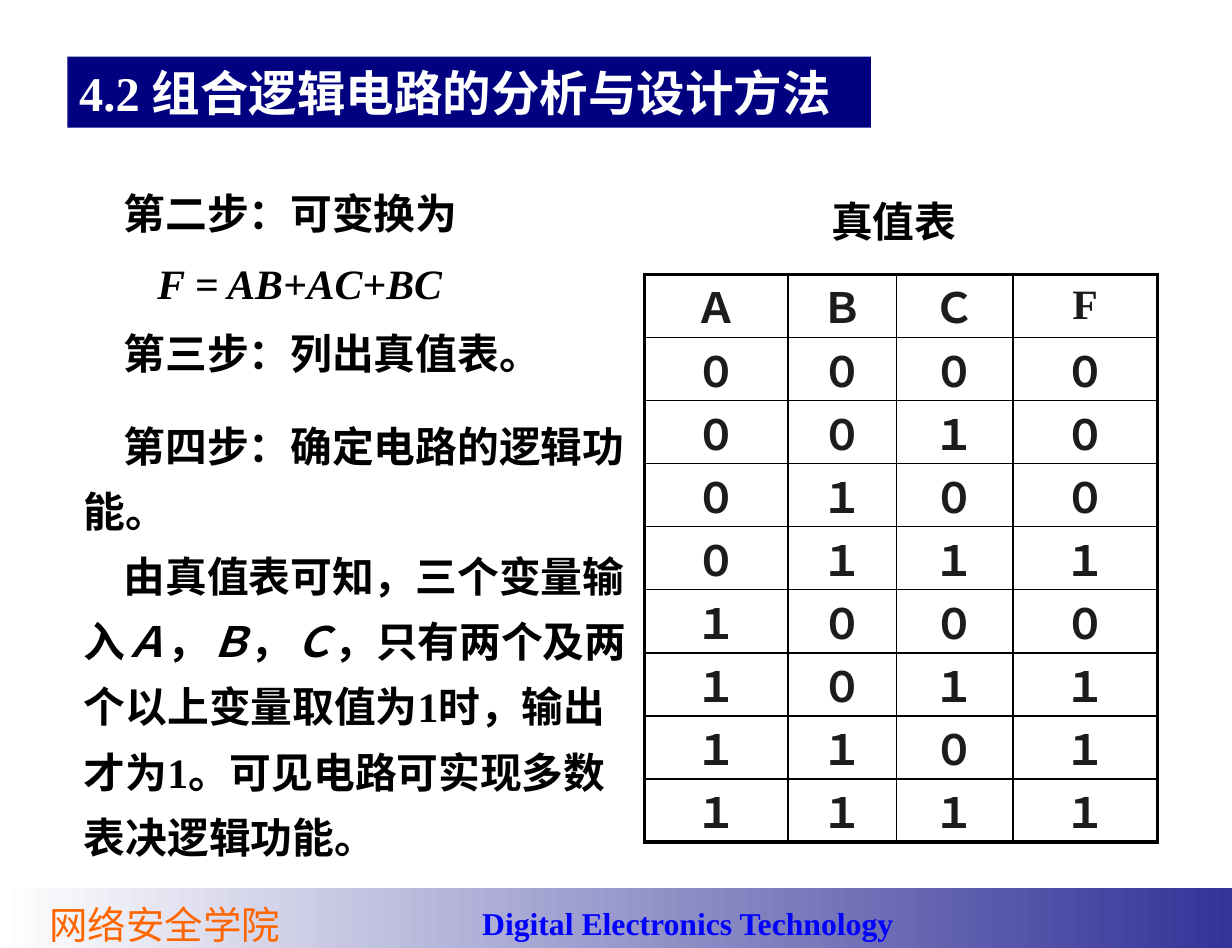
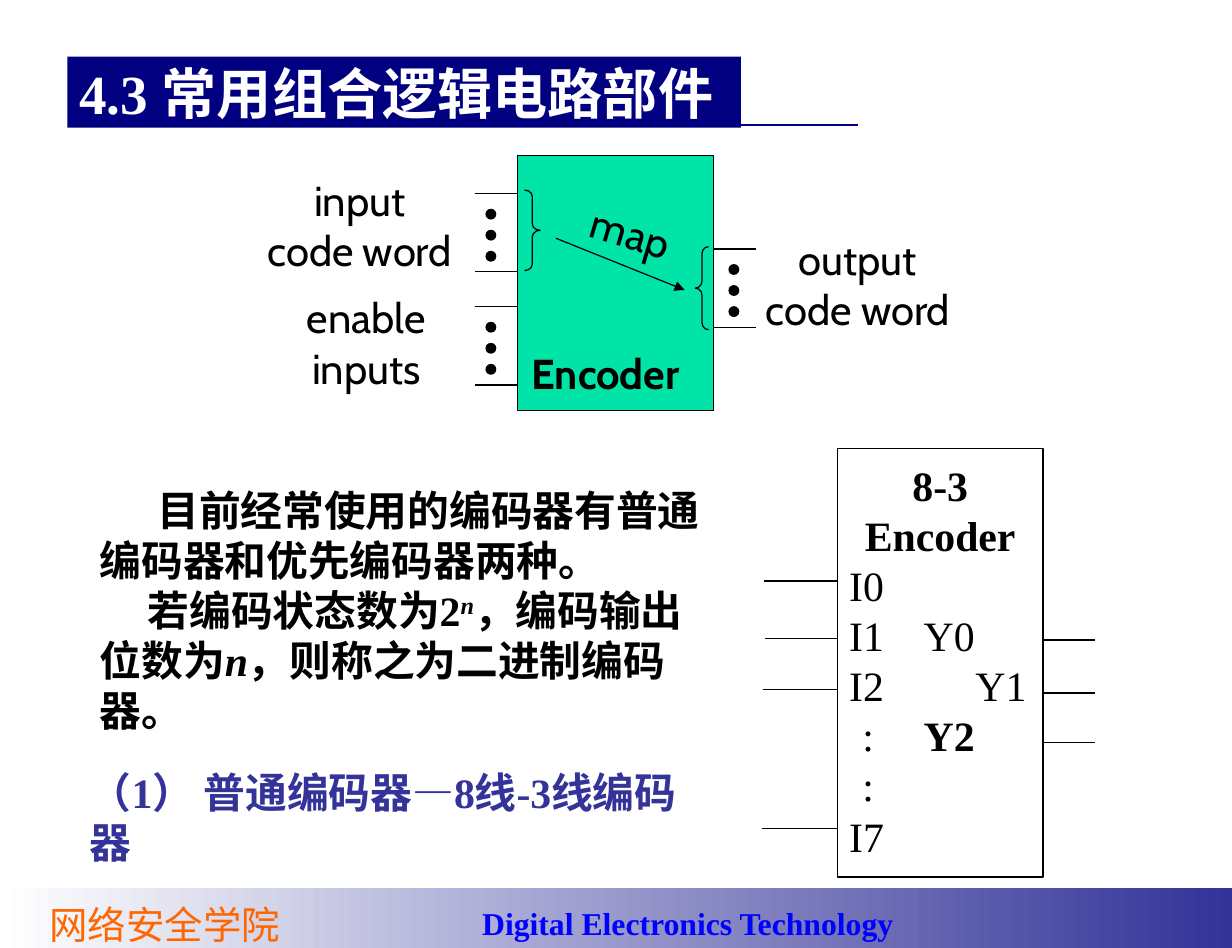
"""Build two digital-electronics slides: a truth table and an encoder overview."""
from dataclasses import dataclass

from lxml import etree
from pptx import Presentation
from pptx.dml import color as c
from pptx.enum import shapes as s, text as t
from pptx.oxml import ns
from pptx.util import Inches, Pt


@dataclass(frozen=True)
class Theme:
    black: str = "000000"
    white: str = "FFFFFF"
    navy: str = "000080"
    indigo: str = "333399"
    blue: str = "0000FF"
    orange: str = "FF6600"
    mint: str = "00E4A8"
    ink: str = "1C1C1C"
    serif: str = "Times New Roman"
    sans: str = "Cabin"
    cjk: str = "Noto Sans CJK SC"
    body: float = 25
    school: float = 23
    course: float = 19
    thin: float = 0.75
    grid: float = 1
    frame: float = 2.25


THEME = Theme()
BODY = {"name": THEME.serif, "size": THEME.body, "color": THEME.black, "bold": True}
LABEL = {**BODY, "name": THEME.sans, "bold": False}
CELL = {**BODY, "color": THEME.ink}
HEADING = {**BODY, "color": THEME.white}
SUBHEAD = {**BODY, "color": THEME.indigo}
SCHOOL = {"name": THEME.cjk, "size": THEME.school, "color": THEME.orange}
COURSE = {**BODY, "size": THEME.course, "color": THEME.blue}
ITALIC = {"italic": True}
PLAIN = {"bold": False}
CENTER = t.PP_ALIGN.CENTER
MIDDLE = t.MSO_ANCHOR.MIDDLE
INSETS = (0.1, 0.05, 0.1, 0.05)
SINGLE, LOOSE, WIDE = Pt(30), Pt(39), Pt(42)

STEPS = [
    {"runs": ["第二步：可变换为"], "indent": 0.33, "spacing": WIDE},
    {"runs": [("F = AB+AC+BC", ITALIC)], "indent": 0.61, "spacing": WIDE},
    {"runs": ["第三步：列出真值表。"], "indent": 0.33, "spacing": WIDE},
]
CONCLUSION = [
    {"runs": ["第四步：确定电路的逻辑功能。"], "indent": 0.33, "spacing": LOOSE},
    {"runs": ["由真值表可知，三个变量输入", ("Ａ", ITALIC), "，", ("Ｂ", ITALIC), "，",
              ("Ｃ", ITALIC), "，只有两个及两个以上变量取值为1时，输出才为1。"
              "可见电路可实现多数表决逻辑功能。"], "indent": 0.33, "spacing": LOOSE},
]
TRUTH_ROWS = ["ＡＢＣF", "００００", "００１０", "０１００", "０１１１",
              "１０００", "１０１１", "１１０１", "１１１１"]
COLUMN_WIDTHS = [1.19, 0.9, 0.97, 1.2]
TABLE_HEIGHT = 4.72

ENCODER_NOTES = [
    {"runs": ["目前经常使用的编码器有普通编码器和优先编码器两种。"],
     "indent": 0.48, "spacing": SINGLE},
    {"runs": ["若编码状态数为2", ("n", {"italic": True, "baseline": 30000}),
              "，编码输出位数为", ("n", ITALIC), "，则称之为二进制编码器。"],
     "indent": 0.4, "spacing": SINGLE},
]
INPUT_PINS = [
    {"runs": ["8-3 Encoder"], "align": CENTER},
    {"runs": [("I0", PLAIN)]},
    {"runs": [("I1", PLAIN)]},
    {"runs": [("I2", PLAIN)]},
    {"runs": [(":", PLAIN)], "indent": 0.11},
    {"runs": [(":", PLAIN)], "indent": 0.11},
    {"runs": [("I7", PLAIN)]},
]
OUTPUT_PINS = [("Y0", 7.58, False), ("Y1", 8.01, False), ("Y2", 7.58, True)]
PIN_LEADS = [(6.35, 6.96, 4.83), (6.36, 6.96, 5.31), (6.34, 6.96, 5.73), (6.33, 6.96, 6.89),
             (8.67, 9.1, 5.32), (8.67, 9.1, 5.76), (8.67, 9.1, 6.17)]
BUSES = [(3.95, 4.04, 1.61), (5.93, 6.06, 2.07), (3.95, 4.04, 2.55)]
BUS_LABELS = [
    (("input", "code word"), (2.05, 1.4, 1.88, 0.94)),
    (("output", "code word"), (6.19, 1.89, 1.88, 0.94)),
    (("enable", "inputs"), (2.38, 2.38, 1.33, 0.94)),
]
BRACES = [
    (s.MSO_SHAPE.RIGHT_BRACE, (4.36, 1.58, 0.13, 0.67), 0.41),
    (s.MSO_SHAPE.LEFT_BRACE, (5.78, 2.05, 0.11, 0.69), 0.52),
]


def rgb(value):
    return c.RGBColor.from_string(value)


def inches(values):
    return [Inches(value) for value in values]


def child(parent, tag, **attributes):
    return etree.SubElement(parent, ns.qn(tag), attributes)


def style_run(span, style):
    font = span.font
    font.size = Pt(style["size"])
    font.color.rgb = rgb(style["color"])
    for key in ("name", "bold", "italic"):
        setattr(font, key, style.get(key))
    properties = span._r.get_or_add_rPr()
    child(properties, "a:ea", typeface=THEME.cjk)
    if "baseline" in style:
        properties.set("baseline", str(style["baseline"]))


def write(frame, paragraphs, style, insets=INSETS, anchor=t.MSO_ANCHOR.TOP):
    settings = dict(zip(("margin_left", "margin_top", "margin_right", "margin_bottom"),
                        inches(insets)), word_wrap=True, vertical_anchor=anchor)
    for key, value in settings.items():
        setattr(frame, key, value)
    for index, item in enumerate(paragraphs):
        para = frame.add_paragraph() if index else frame.paragraphs[0]
        para._p.get_or_add_pPr().set("indent", str(Inches(item.get("indent", 0))))
        para.alignment = item.get("align", t.PP_ALIGN.LEFT)
        para.line_spacing = item.get("spacing")
        for part in item["runs"]:
            words, changes = (part, {}) if isinstance(part, str) else part
            span = para.add_run()
            span.text = words
            style_run(span, {**style, **changes})


def add_text(shapes, at, paragraphs, style, **options):
    box = shapes.add_textbox(*inches(at))
    write(box.text_frame, paragraphs, style, **options)
    return box


def add_shape(shapes, kind, at, fill=None, line=None):
    shape = shapes.add_shape(kind, *inches(at))
    shape.shadow.inherit = False
    for target, value in ((shape.fill, fill), (shape.line.fill, line)):
        if value:
            target.solid()
            target.fore_color.rgb = rgb(value)
        else:
            target.background()
    if line:
        shape.line.width = Pt(THEME.thin)
    return shape


def add_line(shapes, start, end, color=THEME.black, arrow=False):
    line = shapes.add_connector(s.MSO_CONNECTOR.STRAIGHT, *inches(start + end))
    line.line.color.rgb = rgb(color)
    line.line.width = Pt(THEME.thin)
    if arrow:
        child(line.line._get_or_add_ln(), "a:tailEnd", type="triangle")
    child(line._element.spPr, "a:effectLst")


def add_page(deck):
    page = deck.slides.add_slide(deck.slide_layouts[6])
    band = add_shape(page.shapes, s.MSO_SHAPE.RECTANGLE, (0, 7.38, 10.24, 0.5))
    band.fill.gradient()
    band.fill.gradient_angle = 0
    for stop, color in zip(band.fill.gradient_stops, (THEME.white, THEME.indigo)):
        stop.color.rgb = rgb(color)
    add_text(page.shapes, (0.2, 7.49, 2.34, 0.33),
             [{"runs": ["网络安全学院"], "align": CENTER}], SCHOOL, insets=(0, 0, 0, 0))
    add_text(page.shapes, (3.91, 7.46, 3.66, 0.42),
             [{"runs": ["Digital Electronics Technology"]}], COURSE)
    return page


def add_heading(page, words, width, size):
    bar = add_shape(page.shapes, s.MSO_SHAPE.RECTANGLE, (0.56, 0.47, width, 0.59), THEME.navy)
    write(bar.text_frame, [{"runs": [words]}], {**HEADING, "size": size},
          insets=(0.1, 0, 0, 0), anchor=MIDDLE)


def border_cell(cell, widths):
    properties = cell._tc.get_or_add_tcPr()
    for index, (side, width) in enumerate(widths.items()):
        edge = etree.Element(ns.qn(f"a:{side}"), w=str(Pt(width)))
        child(child(edge, "a:solidFill"), "a:srgbClr", val=THEME.black)
        properties.insert(index, edge)


def add_truth_table(page):
    rows, columns = len(TRUTH_ROWS), len(COLUMN_WIDTHS)
    at = (5.36, 2.28, sum(COLUMN_WIDTHS), TABLE_HEIGHT)
    table = page.shapes.add_table(rows, columns, *inches(at)).table
    table.first_row = table.horz_banding = False
    for column, width in zip(table.columns, COLUMN_WIDTHS):
        column.width = Inches(width)
    for r, values in enumerate(TRUTH_ROWS):
        table.rows[r].height = Inches(TABLE_HEIGHT / rows)
        for k, value in enumerate(values):
            cell = table.cell(r, k)
            cell.fill.background()
            write(cell.text_frame, [{"runs": [value], "align": CENTER}], CELL)
            cell.margin_top = cell.margin_bottom = 0
            cell.vertical_anchor = MIDDLE
            outer = {"lnL": k == 0, "lnR": k == columns - 1, "lnT": r == 0, "lnB": r == rows - 1}
            border_cell(cell, {side: THEME.frame if edge else THEME.grid
                               for side, edge in outer.items()})


def add_bus(shapes, left, dot_left, top):
    for y in (top, top + 0.65):
        add_line(shapes, (left, y), (left + 0.35, y))
    for index in range(3):
        add_shape(shapes, s.MSO_SHAPE.OVAL, (dot_left, top + 0.13 + 0.175 * index, 0.08, 0.08),
                  THEME.black, THEME.black)


def add_encoder_diagram(page):
    shapes = page.shapes.add_group_shape().shapes
    add_shape(shapes, s.MSO_SHAPE.RECTANGLE, (4.3, 1.29, 1.63, 2.12), THEME.mint, THEME.black)
    for bus in BUSES:
        add_bus(shapes, *bus)
    for lines, at in BUS_LABELS:
        add_text(shapes, at, [{"runs": [line], "align": CENTER} for line in lines], LABEL)
    for kind, at, curve in BRACES:
        add_shape(shapes, kind, at, line=THEME.black).adjustments[0] = curve
    add_line(shapes, (4.62, 1.98), (5.69, 2.41), arrow=True)
    mapping = add_text(shapes, (4.69, 1.67, 1.05, 0.72),
                       [{"runs": ["map"], "align": CENTER}], LABEL)
    mapping.rotation = 16.7
    add_text(shapes, (4.32, 2.84, 1.7, 0.53), [{"runs": ["Encoder"]}], {**LABEL, "bold": True})


def add_pin_diagram(page):
    shapes = page.shapes.add_group_shape().shapes
    chip = add_shape(shapes, s.MSO_SHAPE.RECTANGLE, (6.96, 3.73, 1.71, 3.56), line=THEME.black)
    write(chip.text_frame, INPUT_PINS, BODY, insets=(0.1, 0.09, 0.1, 0.09))
    for index, (name, left, bold) in enumerate(OUTPUT_PINS):
        add_text(shapes, (left, 5.02 + 0.416 * index, 0.66, 0.52), [{"runs": [name]}],
                 {**BODY, "bold": bold})
    for left, right, y in PIN_LEADS:
        add_line(shapes, (left, y), (right, y))


def build_truth_page(deck):
    page = add_page(deck)
    add_text(page.shapes, (0.6, 1.34, 4.76, 1.85), STEPS, BODY)
    add_truth_table(page)
    add_text(page.shapes, (6.81, 1.58, 1.25, 0.52),
             [{"runs": ["真值表"], "spacing": SINGLE}], BODY)
    add_text(page.shapes, (0.6, 3.32, 4.8, 3.9), CONCLUSION, BODY)
    add_heading(page, "4.2 组合逻辑电路的分析与设计方法", 6.68, 29)


def build_encoder_page(deck):
    page = add_page(deck)
    add_line(page.shapes, (2.82, 1.04), (7.13, 1.04), THEME.navy)
    add_encoder_diagram(page)
    add_heading(page, "4.3 常用组合逻辑电路部件", 5.6, 33)
    add_text(page.shapes, (0.73, 3.98, 5.2, 2.2), ENCODER_NOTES, BODY)
    add_text(page.shapes, (0.65, 6.46, 5.4, 0.66),
             [{"runs": ["（1） 普通编码器—8线-3线编码器"], "spacing": SINGLE}],
             SUBHEAD, anchor=MIDDLE)
    add_pin_diagram(page)


def main():
    deck = Presentation()
    deck.slide_width, deck.slide_height = inches((10.24, 7.88))
    build_truth_page(deck)
    build_encoder_page(deck)
    deck.save("out.pptx")


if __name__ == "__main__":
    main()
